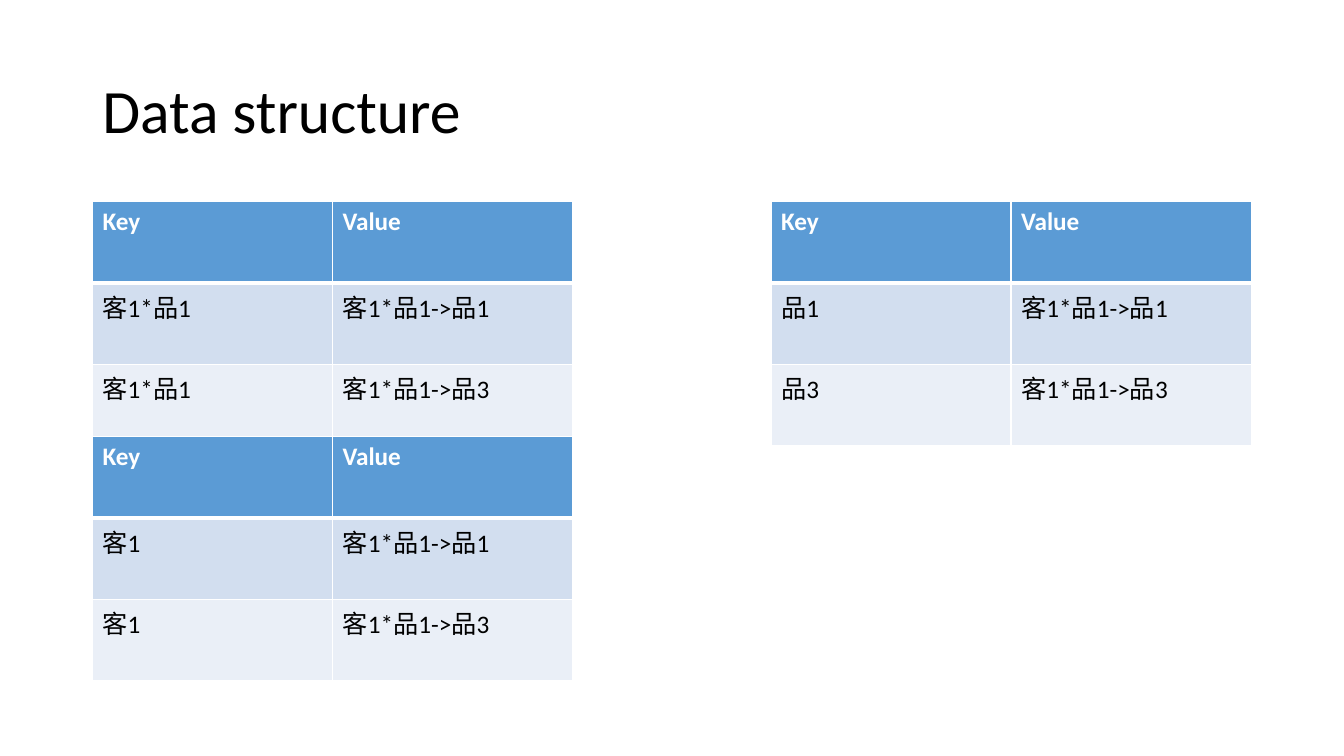
from lxml.etree import SubElement
from pptx import Presentation
from pptx.dml.color import RGBColor
from pptx.enum.text import MSO_ANCHOR
from pptx.oxml.ns import qn
from pptx.util import Cm, Pt

LEFT, RIGHT = 2.33, 19.43
UPPER, LOWER = 5.08, 11.0
COLUMN_WIDTH, ROW_HEIGHT = 6.05, 2.05
HEADER = ("Key", "Value")
VALUES = ("客1*品1->品1", "客1*品1->品3")


def color(code):
    """Turn a hex string into a colour."""
    return RGBColor.from_string(code)


def write(frame, text, size=18, ink="000000", bold=False, spacing=1.0):
    """Put one formatted line of text into a text frame."""
    para = frame.paragraphs[0]
    para.line_spacing = spacing
    span = para.add_run()
    span.text = text
    span.font.name = "Calibri"
    span.font.size = Pt(size)
    span.font.bold = bold
    span.font.color.rgb = color(ink)


def add_borders(cell, ink="FFFFFF", **widths):
    """Draw cell borders, one width in points for each of L, R, T and B."""
    properties = cell._tc.get_or_add_tcPr()
    for side, width in widths.items():
        line = SubElement(properties, qn(f"a:ln{side}"), w=str(Pt(width)))
        fill = SubElement(line, qn("a:solidFill"))
        SubElement(fill, qn("a:srgbClr"), val=ink)


class SlideWriter:
    """Hold the table style and the current slide."""

    header_fill = "5B9BD5"
    band_fills = ("D2DEEF", "EAEFF7")

    def __init__(self, page):
        """Remember the slide to draw on."""
        self.page = page

    def title(self, text, left, top, width, height):
        """Add the slide title."""
        box = self.page.shapes.add_textbox(Cm(left), Cm(top), Cm(width), Cm(height))
        frame = box.text_frame
        frame.word_wrap = True
        frame.vertical_anchor = MSO_ANCHOR.MIDDLE
        write(frame, text, size=44, spacing=0.9)

    def table(self, rows, left, top):
        """Add a banded table with a header row."""
        count, columns = len(rows), len(rows[0])
        table = self.page.shapes.add_table(
            count, columns, Cm(left), Cm(top),
            Cm(columns * COLUMN_WIDTH), Cm(count * ROW_HEIGHT)).table
        for column in table.columns:
            column.width = Cm(COLUMN_WIDTH)
        for index, texts in enumerate(rows):
            table.rows[index].height = Cm(ROW_HEIGHT)
            for position, text in enumerate(texts):
                self.cell(table.cell(index, position), text, index)

    def cell(self, cell, text, index):
        """Style and fill one cell by the index of its row."""
        is_header = index == 0
        add_borders(cell, L=1, R=1, T=3 if index == 1 else 1, B=3 if is_header else 1)
        cell.fill.solid()
        band = self.band_fills[(index - 1) % 2]
        cell.fill.fore_color.rgb = color(self.header_fill if is_header else band)
        write(cell.text_frame, text, bold=is_header,
              ink="FFFFFF" if is_header else "000000")


def main():
    """Build the slide and save it."""
    deck = Presentation()
    deck.slide_width, deck.slide_height = Cm(33.87), Cm(19.05)
    writer = SlideWriter(deck.slides.add_slide(deck.slide_layouts[6]))
    writer.title("Data structure", LEFT, 1.01, 29.21, 3.68)
    for keys, left, top in (
        (("客1*品1", "客1*品1"), LEFT, UPPER),
        (("品1", "品3"), RIGHT, UPPER),
        (("客1", "客1"), LEFT, LOWER),
    ):
        writer.table([HEADER, *zip(keys, VALUES)], left, top)
    deck.save("out.pptx")


main()
